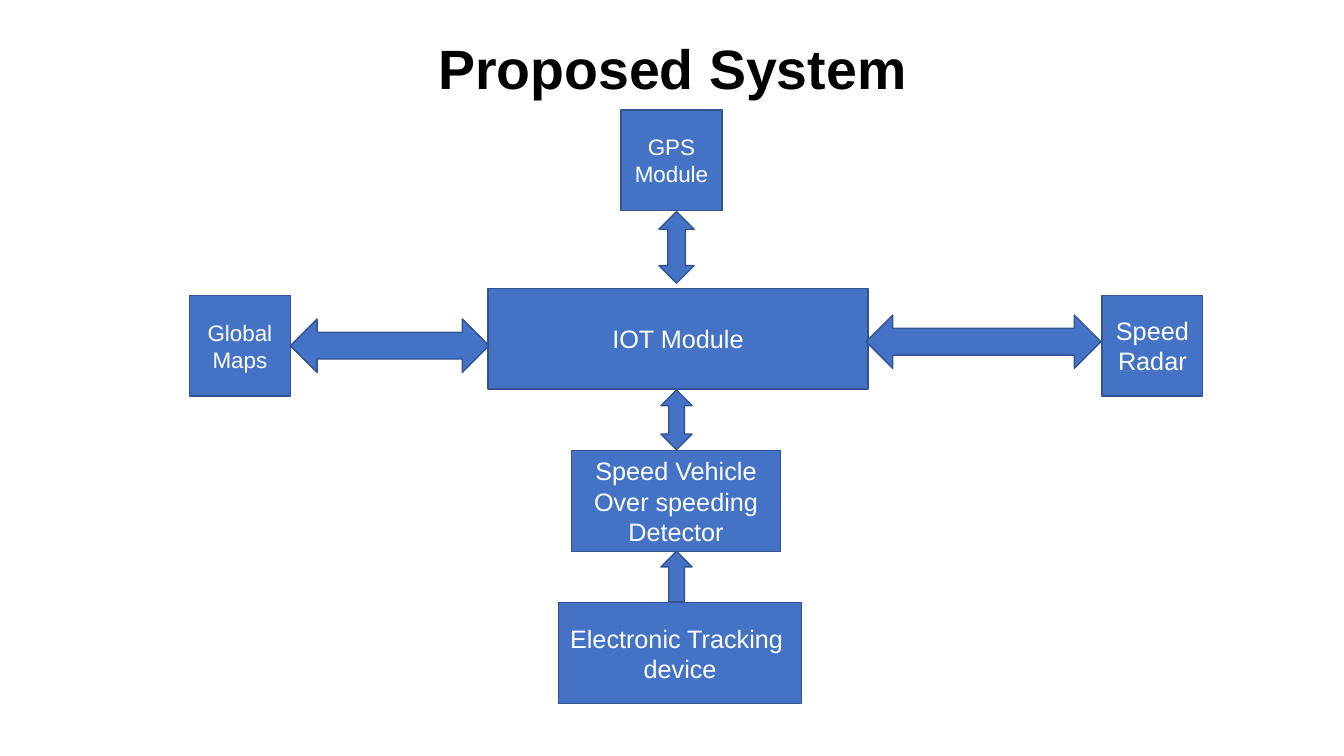
import pptx
import pptx.dml.color
import pptx.enum.shapes
import pptx.enum.text
import pptx.util

BLUE = pptx.dml.color.RGBColor(0x44, 0x72, 0xC4)
EDGE = pptx.dml.color.RGBColor(0x32, 0x54, 0x91)
WHITE = pptx.dml.color.RGBColor(0xFF, 0xFF, 0xFF)
BLACK = pptx.dml.color.RGBColor(0x00, 0x00, 0x00)

COLUMNS, ROWS = 13.33, 7.5
CELL = pptx.util.Inches(1)
BOX_ROWS = 1
SHAPES = pptx.enum.shapes.MSO_SHAPE


def grid(*cells):
    """Turn counts of grid cells into slide lengths."""
    return [round(count * CELL) for count in cells]


def write(frame, lines, size, color, bold=False, spacing=1.0):
    """Write centred paragraphs into a text frame."""
    frame.word_wrap = True
    frame.vertical_anchor = pptx.enum.text.MSO_ANCHOR.MIDDLE
    for index, line in enumerate(lines):
        para = frame.paragraphs[0] if index == 0 else frame.add_paragraph()
        para.alignment = pptx.enum.text.PP_ALIGN.CENTER
        para.line_spacing = spacing
        span = para.add_run()
        span.text = line
        span.font.name = "Arial"
        span.font.size = pptx.util.Pt(size)
        span.font.bold = bold
        span.font.color.rgb = color


def add_title(page, text):
    """Add the bold heading at the top of the page."""
    box = page.shapes.add_textbox(*grid(0.92, 0.4, 11.5, 0.62))
    write(box.text_frame, [text], 39.6, BLACK, bold=True, spacing=0.9)


def add_block(page, kind, left, top, width, height):
    """Add a blue preset shape with a thin dark edge."""
    shape = page.shapes.add_shape(kind, *grid(left, top, width, height))
    shape.shadow.inherit = False
    shape.fill.solid()
    shape.fill.fore_color.rgb = BLUE
    shape.line.color.rgb = EDGE
    shape.line.width = pptx.util.Pt(1)
    return shape


def add_module(page, lines, left, top, width=1, size=18):
    """Add a labelled box of the diagram."""
    box = add_block(page, SHAPES.RECTANGLE, left, top, width, BOX_ROWS)
    write(box.text_frame, lines, size, WHITE)


def add_vertical_arrow(page, center, top, bottom, width, kind=SHAPES.UP_DOWN_ARROW):
    """Add an arrow between two stacked boxes."""
    return add_block(page, kind, center - width / 2, top, width, bottom - top)


def add_level_arrow(page, middle, left, right, width, turn):
    """Add a double arrow between two boxes side by side."""
    center, half = (left + right) / 2, (right - left) / 2
    arrow = add_vertical_arrow(page, center, middle - half, middle + half, width)
    arrow.rotation = turn


def main():
    """Build the proposed system diagram."""
    deck = pptx.Presentation()
    deck.slide_width, deck.slide_height = grid(COLUMNS, ROWS)
    page = deck.slides.add_slide(deck.slide_layouts[6])

    add_title(page, "Proposed System")
    add_module(page, ["IOT Module"], 4.84, 2.86, width=3.77)
    add_module(page, ["Global Maps"], 1.88, 2.93, size=16)
    add_module(page, ["Speed Radar"], 10.93, 2.93)
    add_module(page, ["GPS Module"], 6.16, 1.09, size=16)
    add_module(page, ["Speed Vehicle Over speeding Detector"], 5.67, 4.47, width=2.07)
    add_module(page, ["Electronic Tracking ", "device"], 5.54, 5.98, width=2.41)

    add_vertical_arrow(page, 6.71, 2.1, 2.81, 0.35)
    add_level_arrow(page, 3.43, 2.88, 4.85, 0.53, turn=90)
    add_level_arrow(page, 3.39, 8.59, 10.92, 0.53, turn=270)
    add_vertical_arrow(page, 6.71, 3.87, 4.46, 0.31)
    add_vertical_arrow(page, 6.71, 5.47, 5.97, 0.31, kind=SHAPES.UP_ARROW)

    deck.save("out.pptx")


main()
